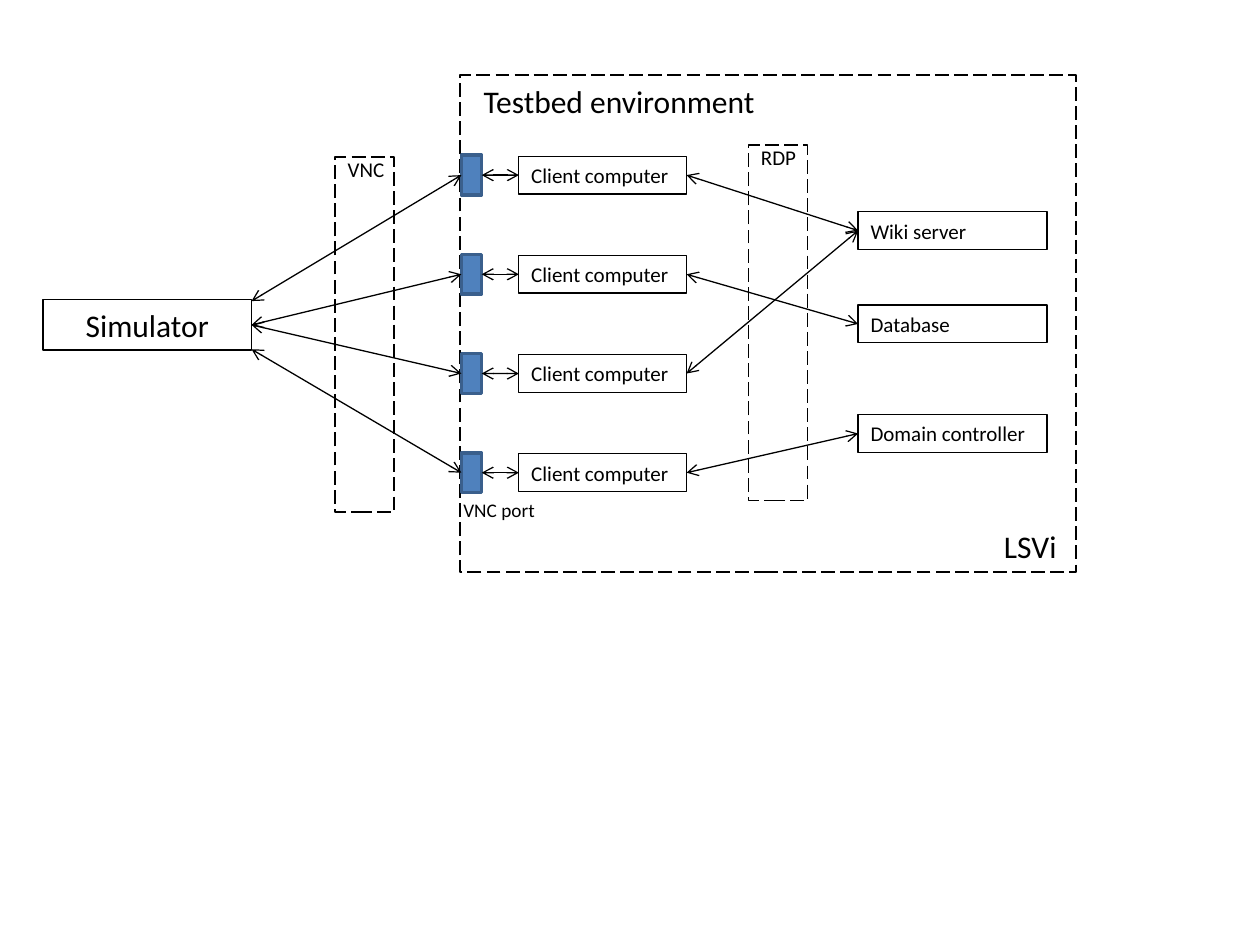
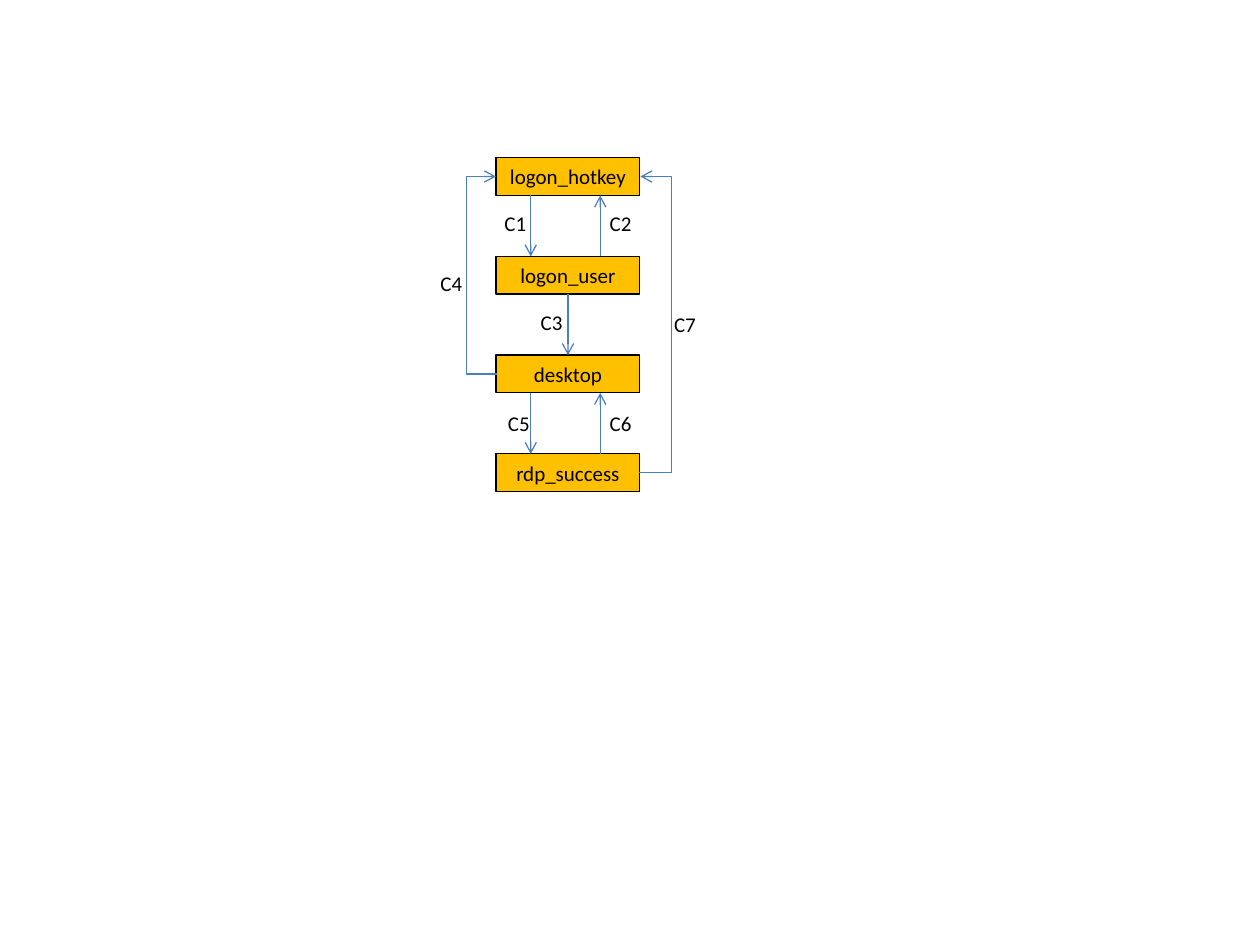
from pptx import Presentation
from pptx import util as u
from pptx.dml import color
from pptx.enum import dml, shapes, text
from pptx.oxml import ns
from lxml import etree

FONT = "Calibri"
BLACK, WHITE, GOLD = "000000", "FFFFFF", "FFC000"
BLUE, NAVY, STEEL = "4F81BD", "3A5F8C", "4B7EBC"
LEFT, MID = text.PP_ALIGN.LEFT, text.PP_ALIGN.CENTER
hue = color.RGBColor.from_string


def box(page, area, label="", size=12, align=LEFT, line=None, width=0.75, fill=None, dash=None):
    """Draw a rectangle, or a plain text box when no line is given."""
    spot = [u.Cm(n) for n in area]
    if line:
        item = page.shapes.add_shape(shapes.MSO_SHAPE.RECTANGLE, *spot)
        item.shadow.inherit = False
        item.line.color.rgb = hue(line)
        item.line.width = u.Pt(width)
        if dash:
            item.line.dash_style = dash
        if fill:
            item.fill.solid()
            item.fill.fore_color.rgb = hue(fill)
        else:
            item.fill.background()
    else:
        item = page.shapes.add_textbox(*spot)
    if label:
        frame = item.text_frame
        frame.word_wrap = True
        frame.text = label
        para = frame.paragraphs[0]
        para.alignment = align
        font = para.runs[0].font
        font.name, font.size = FONT, u.Pt(size)
        font.color.rgb = hue(BLACK)
    return item


def join(page, start, end, tint=BLACK, both=True, bend=None):
    """Link two ends, each a point (x, y) or a (shape, side) pair."""
    kind = shapes.MSO_CONNECTOR.ELBOW if bend else shapes.MSO_CONNECTOR.STRAIGHT
    spots = [(0, 0) if hasattr(a, "shape_id") else (a, b) for a, b in (start, end)]
    link = page.shapes.add_connector(kind, *[u.Cm(n) for spot in spots for n in spot])
    if hasattr(start[0], "shape_id"):
        link.begin_connect(*start)
    if hasattr(end[0], "shape_id"):
        link.end_connect(*end)
    link.line.color.rgb = hue(tint)
    link.line.width = u.Pt(0.75)
    props = link.element.spPr
    if bend:
        ratio = (bend - start[0]) / (end[0] - start[0])
        guides = props.find(ns.qn("a:prstGeom")).get_or_add_avLst()
        etree.SubElement(guides, ns.qn("a:gd"), name="adj1", fmla=f"val {round(ratio * 100000)}")
    for tip in ("a:headEnd", "a:tailEnd") if both else ("a:tailEnd",):
        etree.SubElement(props.find(ns.qn("a:ln")), ns.qn(tip), type="arrow")
    etree.SubElement(props, ns.qn("a:effectLst"))


deck = Presentation()
deck.slide_width, deck.slide_height = u.Cm(25.4), u.Cm(19.05)
blank = deck.slide_layouts[6]
DASH = dml.MSO_LINE.LONG_DASH
HIGH = 0.76  # height of a one-line box

# Slide 1: testbed network
net = deck.slides.add_slide(blank)
box(net, (9.27, 1.52, 12.42, 10.01), line=BLACK, width=1, fill=WHITE, dash=DASH)
box(net, (9.5, 1.52, 6.2, 1.02), "Testbed environment", 18)
box(net, (19.99, 10.49, 1.7, 1.02), "LSVi", 18)
box(net, (9.09, 9.93, 2.57, 0.74), "VNC port", 11)
sim = box(net, (0.87, 6.04, 4.2, 1.02), "Simulator", 18, MID, BLACK)

# Servers
hosts = [box(net, (17.3, top, 3.81, HIGH), name, line=BLACK)
         for name, top in (("Wiki server", 4.27), ("Database", 6.15), ("Domain controller", 8.36))]

# One row per client: simulator, port, client, server
starts = [(5.07, 6.07), (sim, 3), (sim, 3), (5.07, 7.04)]
for row, (start, host) in enumerate(zip(starts, (0, 1, 0, 2))):
    mid = 3.53 + 2 * row
    port = box(net, (9.3, mid - 0.4, 0.41, 0.8), line=NAVY, width=2, fill=BLUE)
    client = box(net, (10.46, mid - HIGH / 2, 3.38, HIGH), "Client computer", line=BLACK)
    join(net, start, (port, 1))
    join(net, (port, 3), (client, 1))
    join(net, (client, 3), (hosts[host], 1))

# Protocol lanes
for name, left, top in (("RDP", 15.09, 2.93), ("VNC", 6.76, 3.17)):
    box(net, (left, top, 1.19, 7.16), line=BLACK, width=1, dash=DASH)
    box(net, (left, top - 0.14, 1.35, HIGH), name)

# Slide 2: logon states
flow = deck.slides.add_slide(blank)
FIRST, STEP = 3.18, 1.99
names = ("logon_hotkey", "logon_user", "desktop", "rdp_success")
states = [box(flow, (10, FIRST + STEP * row, 2.9, HIGH), name, 12, MID, BLACK, fill=GOLD)
          for row, name in enumerate(names)]

# Moves between neighbours
for row in (0, 2):
    upper, lower = FIRST + STEP * row + HIGH, FIRST + STEP * (row + 1)
    join(flow, (10.7, upper), (10.7, lower), STEEL, False)
    join(flow, (12.1, lower), (12.1, upper), STEEL, False)
join(flow, (states[1], 2), (states[2], 0), STEEL, False)

# Returns to the first state
mids = [FIRST + STEP * row + HIGH / 2 for row in range(4)]
join(flow, (10.03, mids[2]), (10, mids[0]), STEEL, False, 9.4)
join(flow, (12.88, mids[3]), (12.91, mids[0]), STEEL, False, 13.54)

# Move labels
for name, left, top in (("C1", 9.89, 4.11), ("C2", 12.01, 4.11), ("C3", 10.62, 6.12),
                        ("C4", 8.6, 5.33), ("C5", 9.96, 8.15), ("C6", 12.01, 8.15),
                        ("C7", 13.31, 6.15)):
    box(flow, (left, top, 1, HIGH), name, 12, MID)

deck.save("out.pptx")
